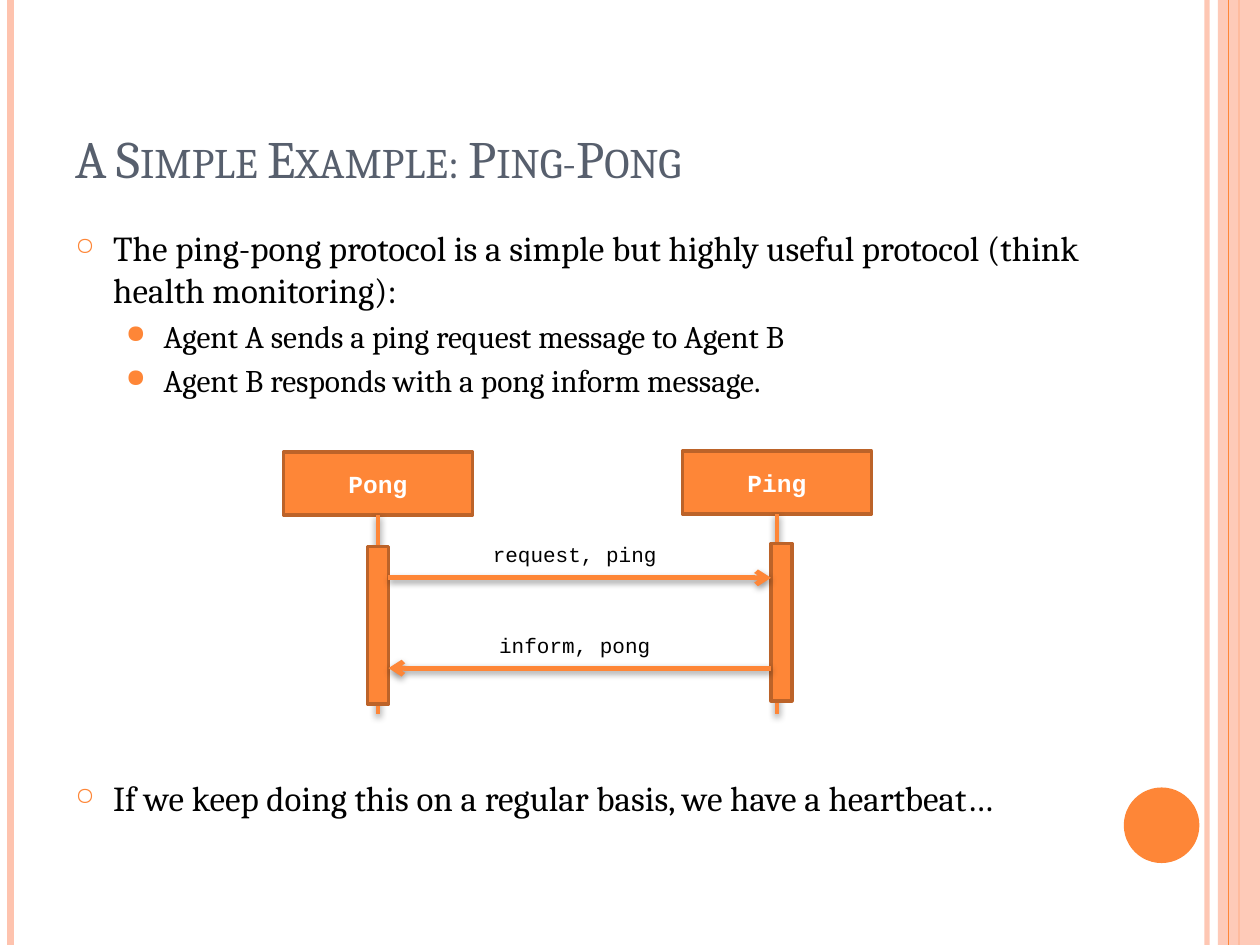
from dataclasses import dataclass

from lxml.etree import SubElement
from pptx import Presentation
from pptx.dml.color import RGBColor as Color
from pptx.enum.shapes import MSO_CONNECTOR as Connector, MSO_SHAPE as Shape
from pptx.enum.text import MSO_ANCHOR as Anchor, MSO_AUTO_SIZE as AutoSize, PP_ALIGN as Align
from pptx.oxml.ns import qn
from pptx.util import Pt


@dataclass(frozen=True)
class Theme:
    """Colours, fonts and type sizes of the deck."""
    accent: str = "FE8637"
    edge: str = "BC6329"
    pale: str = "FEC3AE"
    heading: str = "575F6D"
    text: str = "000000"
    light: str = "FFFFFF"
    serif: str = "Cambria"
    mono: str = "Courier New"
    title_size: float = 30
    body_sizes: tuple = (20, 18)
    box_size: float = 14
    label_size: float = 12


def add_xml(parent, tag, **attributes):
    """Append a DrawingML child and return it."""
    return SubElement(parent, qn(f"a:{tag}"), {key: str(value) for key, value in attributes.items()})


def apply(target, formats):
    """Set each attribute named in a dict of format values."""
    for name, value in formats.items():
        setattr(target, name, value)


def set_alpha(fill_parent, percent):
    """Make the solid colour below an element partly transparent."""
    add_xml(next(fill_parent.iter(qn("a:srgbClr"))), "alpha", val=percent * 1000)


class SlideBuilder:
    """Draws styled elements on the current slide."""

    def __init__(self, page, theme):
        """Keep the slide and its theme."""
        self.page, self.theme = page, theme

    def add_span(self, para, text, font, size, color, bold=False):
        """Add one formatted span to a paragraph."""
        span = para.add_run()
        span.text = text
        apply(span.font, {"name": font, "size": Pt(size), "bold": bold})
        span.font.color.rgb = Color.from_string(color)
        return span

    def title(self, text, left, top, width, height):
        """Place the title in small capitals."""
        box = self.page.shapes.title
        apply(box, {"left": Pt(left), "top": Pt(top), "width": Pt(width), "height": Pt(height)})
        box.text_frame.vertical_anchor = Anchor.BOTTOM
        para = box.text_frame.paragraphs[0]
        para.alignment = Align.LEFT
        span = self.add_span(para, text, self.theme.serif, self.theme.title_size, self.theme.heading)
        span._r.get_or_add_rPr().set("cap", "small")

    def bullets(self, items, left, top, width, height):
        """Add a bulleted list of (level, space before, text) items."""
        box = self.page.shapes.add_textbox(Pt(left), Pt(top), Pt(width), Pt(height))
        frame = box.text_frame
        frame.word_wrap = True
        marks = (("○", 70, 21.6), ("●", 80, 50.4))
        for index, (level, space, text) in enumerate(items):
            para = frame.add_paragraph() if index else frame.paragraphs[0]
            apply(para, {"level": level, "space_before": Pt(space)})
            mark, percent, indent = marks[level]
            props = para._p.get_or_add_pPr()
            props.set("marL", str(Pt(indent)))
            props.set("indent", str(-Pt(21.6)))
            add_xml(add_xml(props, "buClr"), "srgbClr", val=self.theme.accent)
            add_xml(props, "buSzPct", val=percent * 1000)
            add_xml(props, "buChar", char=mark)
            self.add_span(para, text, self.theme.serif, self.theme.body_sizes[level], self.theme.text)

    def shape(self, kind, left, top, width, height, fill, edge=None, alpha=None, text=None):
        """Add a filled shape, with an optional outline and bold caption."""
        shape = self.page.shapes.add_shape(kind, Pt(left), Pt(top), Pt(width), Pt(height))
        shape.shadow.inherit = False
        shape.fill.solid()
        shape.fill.fore_color.rgb = Color.from_string(fill)
        if alpha:
            set_alpha(shape._element.spPr, alpha)
        if edge:
            shape.line.color.rgb = Color.from_string(edge)
            shape.line.width = Pt(2)
        else:
            shape.line.fill.background()
        if text:
            shape.text_frame.vertical_anchor = Anchor.MIDDLE
            para = shape.text_frame.paragraphs[0]
            para.alignment = Align.CENTER
            self.add_span(para, text, self.theme.mono, self.theme.box_size, self.theme.light, True)
        return shape

    def line(self, start, end, color, width, alpha=None, arrow=False, shadow=False):
        """Add a straight line, with an optional arrowhead and soft shadow."""
        line = self.page.shapes.add_connector(Connector.STRAIGHT, *map(Pt, start + end))
        line.line.color.rgb = Color.from_string(color)
        line.line.width = Pt(width)
        props = line._element.spPr
        if alpha:
            set_alpha(props, alpha)
        if arrow:
            add_xml(props.find(qn("a:ln")), "tailEnd", type="arrow")
        effects = add_xml(props, "effectLst")
        if shadow:
            cast = add_xml(effects, "outerShdw", blurRad=Pt(4), dist=Pt(1.6),
                           dir=90 * 60000, rotWithShape=0)
            add_xml(add_xml(cast, "srgbClr", val=self.theme.text), "alpha", val=42000)
        return line

    def label(self, text, center, top, width):
        """Add a message label centred on a horizontal position."""
        box = self.page.shapes.add_textbox(Pt(center - width / 2), Pt(top), Pt(width), Pt(21.6))
        apply(box.text_frame, {"word_wrap": False, "auto_size": AutoSize.SHAPE_TO_FIT_TEXT})
        para = box.text_frame.paragraphs[0]
        para.alignment = Align.CENTER
        self.add_span(para, text, self.theme.mono, self.theme.label_size, self.theme.text)

    def background(self, height):
        """Draw the side stripes and the corner disc."""
        theme = self.theme
        for x, color, width, alpha in ((689.8, theme.pale, 3, 93), (6, theme.pale, 4.5, None),
                                       (708, theme.accent, 1.5, None)):
            self.line((x, 0), (x, height), color, width, alpha)
        self.shape(Shape.RECTANGLE, 696, 0, 24, height, theme.pale, alpha=87)
        self.line((702, 0), (702, height), theme.accent, 0.75)
        self.shape(Shape.OVAL, 642.2, 450, 43.2, 43.2, theme.accent)

    def agent(self, name, center, top):
        """Draw an agent box with its lifeline."""
        theme = self.theme
        box = self.shape(Shape.RECTANGLE, center - 54, top, 108, 36, theme.accent, theme.edge, text=name)
        lifeline = self.line((center, top + 36), (center, 408), theme.accent, 2.75, shadow=True)
        lifeline.begin_connect(box, 2)

    def message(self, text, start, end, y, label_width):
        """Draw an arrow between two activation bars and its label."""
        self.line((start, y), (end, y), self.theme.accent, 2.75, arrow=True, shadow=True)
        self.label(text, 328.4, y - 24, label_width)


def main():
    """Build the slide and save the deck."""
    deck = Presentation()
    apply(deck, {"slide_width": Pt(720), "slide_height": Pt(540)})
    theme = Theme()
    builder = SlideBuilder(deck.slides.add_slide(deck.slide_layouts[5]), theme)
    builder.background(540)
    builder.title("A Simple Example: Ping-Pong", 36, 21.6, 588, 90)
    builder.bullets((
        (0, 6, "The ping-pong protocol is a simple but highly useful protocol (think health monitoring):"),
        (1, 3.6, "Agent A sends a ping request message to Agent B"),
        (1, 3.6, "Agent B responds with a pong inform message."),
        (0, 216, "If we keep doing this on a regular basis, we have a heartbeat…"),
    ), 36, 126, 588, 384)
    builder.agent("Pong", 216, 258.4)
    builder.agent("Ping", 444, 257.8)
    for left, top in ((210, 312.3), (440.6, 310.5)):
        builder.shape(Shape.RECTANGLE, left, top, 12, 90, theme.accent, theme.edge)
    builder.message("request, ping", 222, 440.6, 330.2, 109.4)
    builder.message("inform, pong", 440.6, 222, 381.8, 102.2)
    deck.save("out.pptx")


if __name__ == "__main__":
    main()
